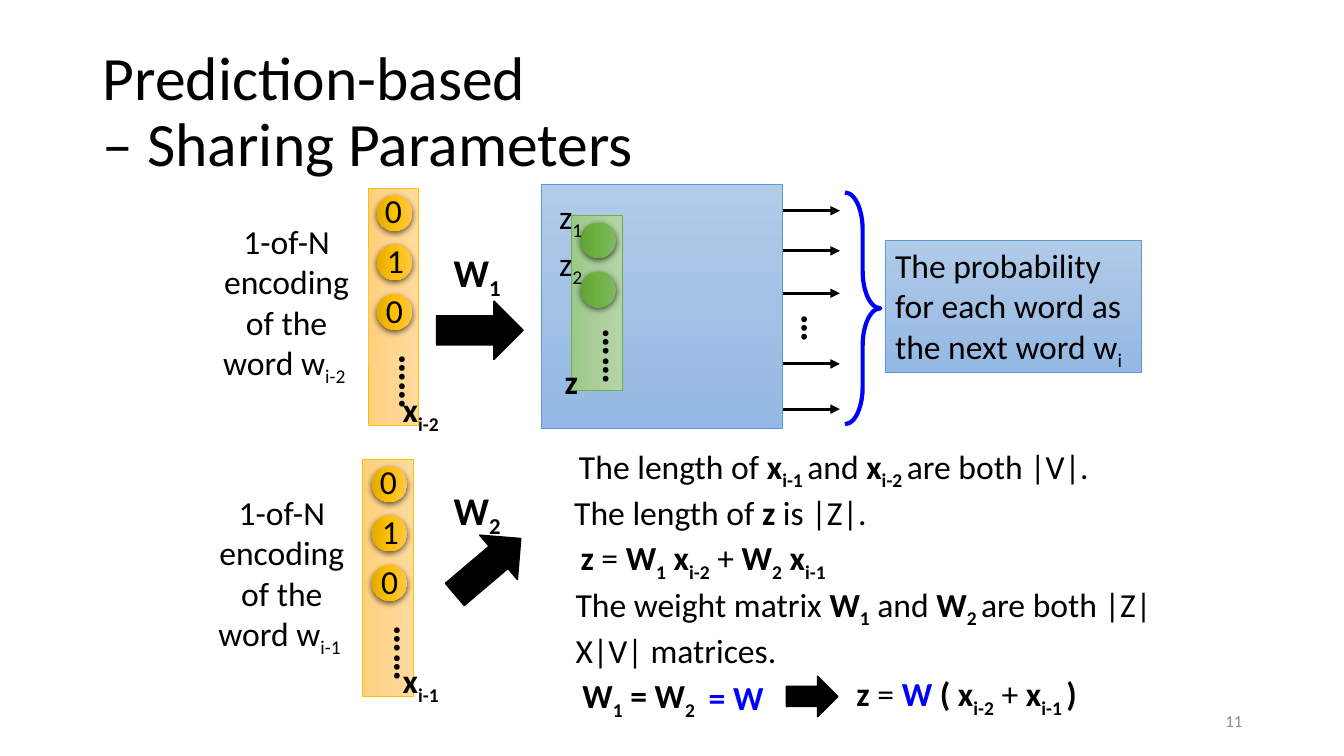
from pptx import Presentation, util as u
from pptx.dml.color import RGBColor
from pptx.enum import shapes as s, text as t
from pptx.oxml import parse_xml
from pptx.oxml.ns import nsdecls

BLACK, BLUE = "000000", "0000FF"
SKY = ("B1CBE9", "A3C1E5", "93B9E4")
SAND = ("FFDB9E", "FFD590", "FFD07C")
AMBER = ("FFC64B", "FFC000", "E3AB00")
MINT = ("B5D5A7", "AACE9A", "9CC987")
GREEN = ("81B861", "6FB242", "62A336")
PLAIN, BOLD, SUB, BOLD_SUB, BLUE_BOLD, BLUE_SUB = "", "b", "s", "bs", "bc", "bsc"
CENTER = t.PP_ALIGN.CENTER


def color(value):
    """Turn a hex string into a colour."""
    return RGBColor.from_string(value)


def place(*inches):
    """Turn inch measures into lengths."""
    return [u.Cm(round(value * 2.54, 2)) for value in inches]


def write(shape, *paragraphs, size=24, ink=BLACK, align=t.PP_ALIGN.LEFT,
          anchor=t.MSO_ANCHOR.TOP, spacing=None):
    """Fill a shape with paragraphs, each a list of (text, style) spans."""
    frame = shape.text_frame
    frame.word_wrap, frame.vertical_anchor = True, anchor
    for number, spans in enumerate(paragraphs):
        para = frame.add_paragraph() if number else frame.paragraphs[0]
        para.alignment, para.line_spacing = align, spacing
        for words, style in spans:
            for index, line in enumerate(words.split("\n")):
                if index:
                    para.add_line_break()
                span = para.add_run()
                span.text = line
                font = span.font
                font.name, font.size, font.bold = "Calibri", u.Pt(size), "b" in style
                font.color.rgb = color(BLUE if "c" in style else ink)
                if "s" in style:
                    span._r.get_or_add_rPr().set("baseline", "-25000")


def add_text(slide, bounds, *paragraphs, turn=0, **style):
    """Add a text box."""
    box = slide.shapes.add_textbox(*place(*bounds))
    box.rotation = turn
    write(box, *paragraphs, **style)


def add_shape(slide, kind, bounds, fill=None, line=None, width=1, turn=0):
    """Add a preset shape; a tuple fill is a vertical gradient."""
    shape = slide.shapes.add_shape(kind, *place(*bounds))
    shape.shadow.inherit = False
    shape.rotation = turn
    if isinstance(fill, tuple):
        stops = "".join(f'<a:gs pos="{i * 50000}"><a:srgbClr val="{stop}"/></a:gs>'
                        for i, stop in enumerate(fill))
        shape._element.spPr.find("{*}prstGeom").addnext(parse_xml(
            f'<a:gradFill {nsdecls("a")} rotWithShape="1"><a:gsLst>{stops}</a:gsLst>'
            '<a:lin ang="5400000" scaled="0"/></a:gradFill>'))
    elif fill:
        shape.fill.solid()
        shape.fill.fore_color.rgb = color(fill)
    else:
        shape.fill.background()
    if line:
        shape.line.color.rgb = color(line)
        shape.line.width = u.Pt(width)
    else:
        shape.line.fill.background()
    return shape


def add_neuron(slide, left, top, fill):
    """Add a round unit with a soft shadow below it."""
    neuron = add_shape(slide, s.MSO_SHAPE.OVAL, (left, top, 0.35, 0.35), fill, turn=90)
    neuron._element.spPr.find("{*}effectLst").append(parse_xml(
        f'<a:outerShdw {nsdecls("a")} blurRad="57150" dist="19050" dir="5400000" '
        'algn="ctr" rotWithShape="0"><a:srgbClr val="000000">'
        '<a:alpha val="63000"/></a:srgbClr></a:outerShdw>'))


def add_layer(slide, left, top, length, count, fill, line, unit_fill):
    """Add an upright bar with neurons and dots at its end."""
    bounds = (left + 0.25 - length / 2, top + length / 2 - 0.25, length, 0.5)
    add_shape(slide, s.MSO_SHAPE.RECTANGLE, bounds, fill, line, 0.5, 90)
    for index in range(count):
        add_neuron(slide, left + 0.09, top + 0.07 + 0.49 * index, unit_fill)
    add_text(slide, (left, top + 0.15 + 0.525 * count, 0.93, 0.57),
             [("……", BOLD)], turn=90, size=28)


def add_arrow(slide, y):
    """Add one output arrow."""
    arrow = slide.shapes.add_connector(s.MSO_CONNECTOR.STRAIGHT, *place(7.5, y, 8.33, y))
    arrow.line.color.rgb = color(BLACK)
    arrow.line.width = u.Pt(2.25)
    arrow.line._get_or_add_ln().append(
        parse_xml(f'<a:tailEnd {nsdecls("a")} type="triangle"/>'))
    arrow._element.spPr.append(parse_xml(f'<a:effectLst {nsdecls("a")}/>'))


def add_block_arrow(slide, bounds, turn=0):
    """Add a solid black block arrow."""
    add_shape(slide, s.MSO_SHAPE.RIGHT_ARROW, bounds, BLACK, BLACK, 1, turn)


def add_encoding(slide, left, top, index):
    """Add the 1-of-N input vector of one word."""
    add_text(slide, (left - 1.66, top + 0.27, 1.71, 1.72), [("1-of-N encoding", PLAIN)],
             [("of the word w", PLAIN), (index, SUB)], align=CENTER)
    add_layer(slide, left, top, 2.35, 3, SAND, "FFC000", AMBER)
    for row, (digit, shift) in enumerate((("0", 0.07), ("1", 0.09), ("0", 0.08))):
        add_text(slide, (left + shift, top - 0.04 + 0.5 * row, 0.43, 0.5), [(digit, PLAIN)])


def add_network(slide):
    """Add the network with its outputs."""
    brace = add_shape(slide, s.MSO_SHAPE.LEFT_BRACE, (8.38, 1.91, 0.35, 2.3),
                      line=BLUE, width=3)
    brace.adjustments[0] = 1.05
    brace._element.spPr.find("{*}xfrm").set("flipH", "1")
    for y in (2.09, 2.49, 2.91, 3.61, 4.06):
        add_arrow(slide, y)
    add_text(slide, (7.82, 3.02, 0.57, 0.57), [("…", BOLD)], turn=90, size=28)
    add_shape(slide, s.MSO_SHAPE.RECTANGLE, (5.37, 1.83, 2.39, 2.42), SKY, "5B9BD5", 0.5)
    result = add_shape(slide, s.MSO_SHAPE.RECTANGLE, (8.78, 2.38, 2.54, 1.31),
                       SKY, "5B9BD5", 0.5)
    write(result, [("The probability for each word as the next word w", PLAIN), ("i", SUB)])
    add_layer(slide, 5.67, 2.14, 1.73, 2, MINT, "70AD47", GREEN)
    for row, number in enumerate("12"):
        add_text(slide, (5.45, 1.89 + 0.47 * row, 0.6, 0.5), [("z", PLAIN), (number, SUB)])


def add_formulas(slide):
    """Add the statements on sizes and shared weights."""
    add_text(slide, (5.61, 5.74, 5.97, 0.91),
             [("The weight matrix ", PLAIN), ("W", BOLD), ("1", BOLD_SUB), (" and ", PLAIN),
              ("W", BOLD), ("2 ", BOLD_SUB), ("are both |Z|X|V| matrices.", PLAIN)])
    older, newer = ("i-2", BOLD_SUB), ("i-1 ", BOLD_SUB)
    centered = (
        ((5.55, 4.37, 5.44, 0.5),
         [("The length of ", PLAIN), ("x", BOLD), newer, ("and", PLAIN),
          (" x", BOLD), ("i-2 ", BOLD_SUB), ("are both |V|.", PLAIN)]),
        ((5.53, 4.83, 3.23, 0.5),
         [("The length of ", PLAIN), ("z ", BOLD), ("is |Z|.", PLAIN)]),
        ((5.38, 5.28, 3.23, 0.5),
         [("z ", BOLD), ("= ", PLAIN), ("W", BOLD), ("1", BOLD_SUB), (" x", BOLD), older,
          (" +", PLAIN), (" W", BOLD), ("2", BOLD_SUB), (" x", BOLD), newer]),
        ((5.49, 6.65, 1.65, 0.5),
         [(" ", BOLD_SUB), ("W", BOLD), ("1", BOLD_SUB), (" = W", BOLD), ("2", BOLD_SUB)]),
        ((8.01, 6.63, 3.23, 0.5),
         [("z ", BOLD), ("= ", PLAIN), ("W ", BLUE_BOLD), ("( x", BOLD), older,
          (" +", PLAIN), (" x", BOLD), newer, (") ", BOLD)]),
        ((6.8, 6.66, 0.96, 0.5), [(" ", BLUE_SUB), ("= W", BLUE_BOLD)]),
        ((5.29, 3.53, 0.75, 0.5), [("z", BOLD)]),
    )
    for bounds, spans in centered:
        add_text(slide, bounds, spans, align=CENTER)
    add_block_arrow(slide, (7.8, 6.71, 0.51, 0.4))


def main():
    """Build the slide and save the deck."""
    deck = Presentation()
    deck.slide_width, deck.slide_height = place(13.33, 7.5)
    slide = deck.slides.add_slide(deck.slide_layouts[6])
    add_text(slide, (0.92, 0.4, 11.5, 1.45),
             [("Prediction-based \n– Sharing Parameters", PLAIN)],
             size=44, anchor=t.MSO_ANCHOR.MIDDLE, spacing=0.9)
    add_network(slide)
    inputs = ((3.65, 1.87, 2.41, "i-2 ", "1 "), (3.6, 4.56, 4.77, "i-1 ", "2 "))
    for left, top, weight_top, index, number in inputs:
        add_encoding(slide, left, top, index)
        add_text(slide, (3.82, top + 1.94, 0.75, 0.5),
                 [("x", BOLD), (index, BOLD_SUB)], align=CENTER)
        add_text(slide, (4.38, weight_top, 0.75, 0.57),
                 [("W", BOLD), (number, BOLD_SUB)], size=28, align=CENTER)
    add_block_arrow(slide, (4.33, 2.99, 0.86, 0.58))
    add_block_arrow(slide, (4.41, 5.33, 0.86, 0.58), 319.7)
    add_formulas(slide)
    add_text(slide, (9.42, 6.95, 3, 0.4), [("11", PLAIN)], size=12, ink="8C8C8C",
             align=t.PP_ALIGN.RIGHT, anchor=t.MSO_ANCHOR.MIDDLE)
    deck.save("out.pptx")


main()
